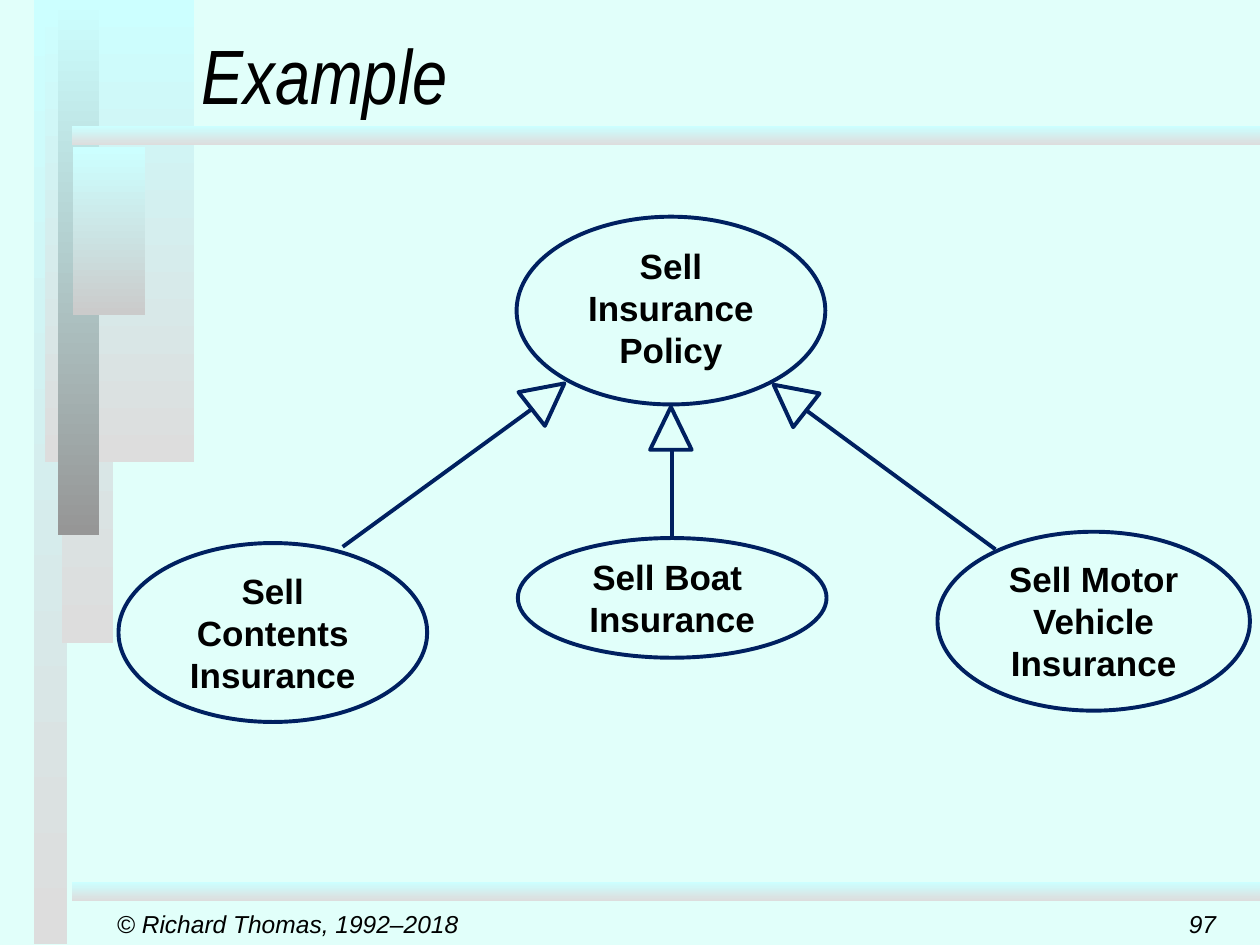
from lxml.etree import SubElement
from pptx import Presentation
from pptx.dml.color import RGBColor
from pptx.enum.shapes import MSO_CONNECTOR, MSO_SHAPE
from pptx.enum.text import MSO_ANCHOR, PP_ALIGN
from pptx.oxml.ns import qn
from pptx.util import Inches, Pt

BACKGROUND = RGBColor(0xE1, 0xFF, 0xFA)
CYAN = RGBColor(0xCC, 0xFF, 0xFF)
PALE_GREY = RGBColor(0xDD, 0xDD, 0xDD)
LIGHT_GREY = RGBColor(0xCB, 0xCB, 0xCB)
MID_GREY = RGBColor(0x96, 0x96, 0x96)
NAVY = RGBColor(0x00, 0x20, 0x60)
BLACK = RGBColor(0, 0, 0)

BARS = [
    ((0.27, 0, 0.26, 7.49), PALE_GREY),
    ((0.49, 0, 0.41, 5.1), PALE_GREY),
    ((0.36, 0, 1.18, 3.67), PALE_GREY),
    ((0.46, 0, 0.33, 4.25), MID_GREY),
    ((0.58, 1.17, 0.57, 1.33), LIGHT_GREY),
    ((0.57, 1, 9.43, 0.15), PALE_GREY),
    ((0.57, 7, 9.43, 0.15), PALE_GREY),
]

USE_CASES = [
    ((4.1, 1.72, 2.45, 1.49), ["Sell", "Insurance Policy"], 0.05),
    ((4.11, 4.27, 2.45, 0.95), ["Sell Boat ", "Insurance"], 0),
    ((0.94, 4.31, 2.45, 1.42), ["Sell Contents Insurance"], 0),
    ((7.44, 4.22, 2.48, 1.42), ["Sell Motor Vehicle Insurance"], 0),
]

# Line start, line end, arrowhead box, arrowhead rotation
GENERALIZATIONS = [
    ((5.33, 4.26), (5.33, 3.58), (5.16, 3.23, 0.33, 0.34), 0),
    ((2.72, 4.34), (4.23, 3.24), (4.18, 2.98, 0.34, 0.33), 52),
    ((7.9, 4.36), (6.39, 3.25), (6.1, 2.99, 0.34, 0.33), 308),
]


def inches(values):
    return [Inches(v) for v in values]


def style_font(p, size, name="Arial", bold=False, italic=False):
    p.font.size = Pt(size)
    p.font.name = name
    p.font.bold = bold
    p.font.italic = italic
    p.font.color.rgb = BLACK


def add_bar(slide, box, end_color):
    """Add a rectangle that fades downwards from cyan."""
    sp = slide.shapes.add_shape(MSO_SHAPE.RECTANGLE, *inches(box))
    sp.shadow.inherit = False
    sp.line.fill.background()
    sp.fill.gradient()
    sp.fill.gradient_angle = 270
    for stop, color in zip(sp.fill.gradient_stops, (CYAN, end_color)):
        stop.color.rgb = color


def add_outline(slide, shape_type, box):
    """Add an unfilled shape with a navy line."""
    sp = slide.shapes.add_shape(shape_type, *inches(box))
    sp.shadow.inherit = False
    sp.fill.background()
    sp.line.color.rgb = NAVY
    sp.line.width = Pt(2.25)
    return sp


def add_use_case(slide, box, lines, bottom_margin):
    tf = add_outline(slide, MSO_SHAPE.OVAL, box).text_frame
    tf.word_wrap = True
    tf.vertical_anchor = MSO_ANCHOR.TOP
    tf.margin_left = tf.margin_right = tf.margin_top = 0
    tf.margin_bottom = Inches(bottom_margin)
    tf.text = "\n".join(lines)
    for p in tf.paragraphs:
        p.alignment = PP_ALIGN.CENTER
        style_font(p, 20, bold=True)


def add_generalization(slide, start, end, head_box, rotation):
    """Add a line with a hollow triangle that points at the parent."""
    line = slide.shapes.add_connector(
        MSO_CONNECTOR.STRAIGHT, *inches(start), *inches(end))
    line.line.color.rgb = NAVY
    line.line.width = Pt(2.25)
    SubElement(line._element.spPr, qn("a:effectLst"))
    head = add_outline(slide, MSO_SHAPE.ISOSCELES_TRIANGLE, head_box)
    head.rotation = rotation


def add_footer(slide, box, text, alignment):
    tf = slide.shapes.add_textbox(*inches(box)).text_frame
    tf.word_wrap = True
    tf.vertical_anchor = MSO_ANCHOR.MIDDLE
    p = tf.paragraphs[0]
    p.text = text
    p.alignment = alignment
    style_font(p, 14, italic=True)


def set_title(slide, text):
    title = slide.shapes.title
    title.left, title.top, title.width, title.height = inches((1.5, 0, 8.5, 1))
    tf = title.text_frame
    tf.vertical_anchor = MSO_ANCHOR.BOTTOM
    p = tf.paragraphs[0]
    p.text = text
    p.alignment = PP_ALIGN.LEFT
    style_font(p, 44, name="Arial Narrow", italic=True)


def main():
    prs = Presentation()
    prs.slide_width, prs.slide_height = inches((10, 7.5))
    slide = prs.slides.add_slide(prs.slide_layouts[5])
    slide.background.fill.solid()
    slide.background.fill.fore_color.rgb = BACKGROUND

    set_title(slide, "Example")
    for bar in BARS:
        add_bar(slide, *bar)
    for use_case in USE_CASES:
        add_use_case(slide, *use_case)
    for generalization in GENERALIZATIONS:
        add_generalization(slide, *generalization)
    add_footer(slide, (9.25, 7.17, 0.5, 0.33), "97", PP_ALIGN.RIGHT)
    add_footer(slide, (0.83, 7.17, 3.1, 0.33),
               "© Richard Thomas, 1992–2018", PP_ALIGN.LEFT)

    prs.save("out.pptx")


if __name__ == "__main__":
    main()
